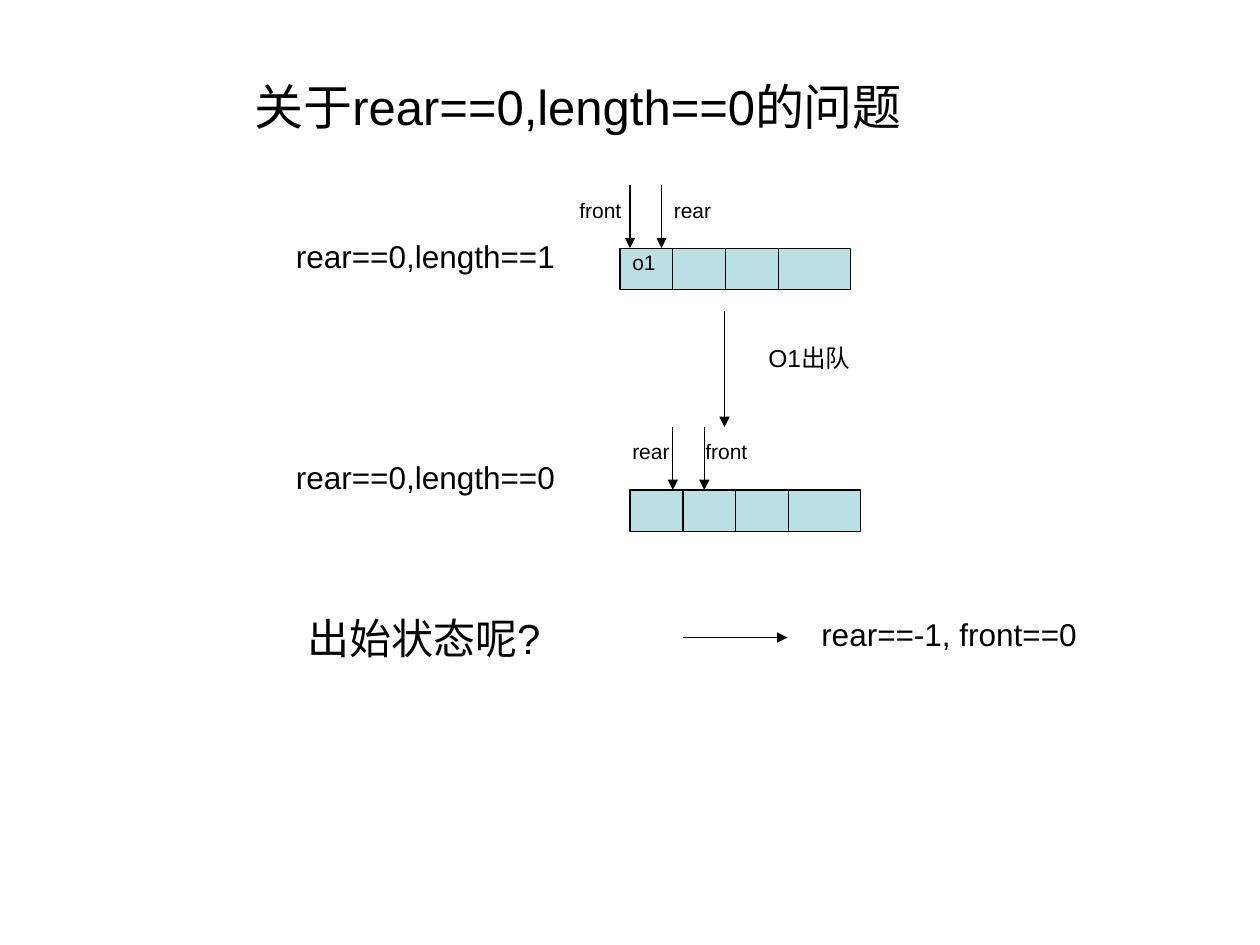
from pptx import Presentation
from pptx import util as u
from pptx.dml.color import RGBColor
from pptx.enum import shapes, text
from pptx.oxml.ns import qn
from lxml import etree

Inches, Pt = u.Inches, u.Pt
COLORS = {"ink": "000000", "cell": "BBE0E3"}
INK = RGBColor.from_string(COLORS["ink"])
FONT = "Arial"

presentation = Presentation()
presentation.slide_width, presentation.slide_height = Inches(10), Inches(7.5)
slide = presentation.slides.add_slide(presentation.slide_layouts[5])


def add_line(x1, y1, x2, y2, arrow=False):
    connector = slide.shapes.add_connector(
        shapes.MSO_CONNECTOR.STRAIGHT, Inches(x1), Inches(y1), Inches(x2), Inches(y2))
    connector.line.width = Pt(0.75)
    connector.line.color.rgb = INK
    properties = connector._element.spPr
    if arrow:
        etree.SubElement(properties.find(qn("a:ln")), qn("a:tailEnd"), type="triangle")
    etree.SubElement(properties, qn("a:effectLst"))


def add_label(words, left, top, width, height, size):
    box = slide.shapes.add_textbox(Inches(left), Inches(top), Inches(width), Inches(height))
    frame = box.text_frame
    frame.text = words
    frame.word_wrap = True
    frame.auto_size = text.MSO_AUTO_SIZE.SHAPE_TO_FIT_TEXT
    paragraph = frame.paragraphs[0]
    paragraph.line_spacing = 0.8
    font = paragraph.runs[0].font
    font.name, font.size, font.color.rgb = FONT, Pt(size), INK


# Title
title = slide.shapes.title
title.left, title.top, title.width, title.height = (
    Inches(1.92), Inches(0.56), Inches(7.5), Inches(0.75))
title.text_frame.text = "关于rear==0,length==0的问题"
title.text_frame.vertical_anchor = text.MSO_ANCHOR.TOP
title_paragraph = title.text_frame.paragraphs[0]
title_paragraph.alignment = text.PP_ALIGN.LEFT
title_font = title_paragraph.runs[0].font
title_font.name, title_font.size, title_font.color.rgb = FONT, Pt(28), INK

# Queues before and after removal: left, top, pointer positions
CELL_WIDTH, QUEUE_WIDTH, QUEUE_HEIGHT = 0.42, 1.83, 0.33
for left, top, pointers in [(4.92, 1.97, (5, 5.25)), (5, 3.89, (5.34, 5.59))]:
    queue = slide.shapes.add_shape(
        shapes.MSO_SHAPE.RECTANGLE, Inches(left), Inches(top),
        Inches(QUEUE_WIDTH), Inches(QUEUE_HEIGHT))
    queue.shadow.inherit = False
    queue.fill.solid()
    queue.fill.fore_color.rgb = RGBColor.from_string(COLORS["cell"])
    queue.line.color.rgb = INK
    queue.line.width = Pt(0.75)
    for divider in range(1, 4):
        x = left + divider * CELL_WIDTH
        add_line(x, top, x, top + QUEUE_HEIGHT)
    for x in pointers:
        add_line(x, top - 0.5, x, top, arrow=True)

# Step arrows: removal and initial state
add_line(5.75, 2.47, 5.75, 3.39, arrow=True)
add_line(5.42, 5.06, 6.25, 5.06, arrow=True)

# Labels: words, left, top, width, height, size
for label in [
    ("front", 4.5, 1.56, 0.67, 0.3, 12),
    ("rear", 5.25, 1.56, 0.67, 0.3, 12),
    ("o1", 4.92, 1.97, 0.58, 0.3, 12),
    ("rear==0,length==1", 2.25, 1.89, 2.42, 0.4, 18),
    ("O1出队", 6, 2.72, 1.5, 0.33, 14),
    ("rear", 4.92, 3.47, 0.67, 0.3, 12),
    ("front", 5.5, 3.47, 0.67, 0.3, 12),
    ("rear==0,length==0", 2.25, 3.64, 2.5, 0.4, 18),
    ("出始状态呢?", 2.34, 4.89, 2.5, 0.5, 24),
    ("rear==-1, front==0", 6.42, 4.89, 2.83, 0.4, 18),
]:
    add_label(*label)

presentation.save("out.pptx")
